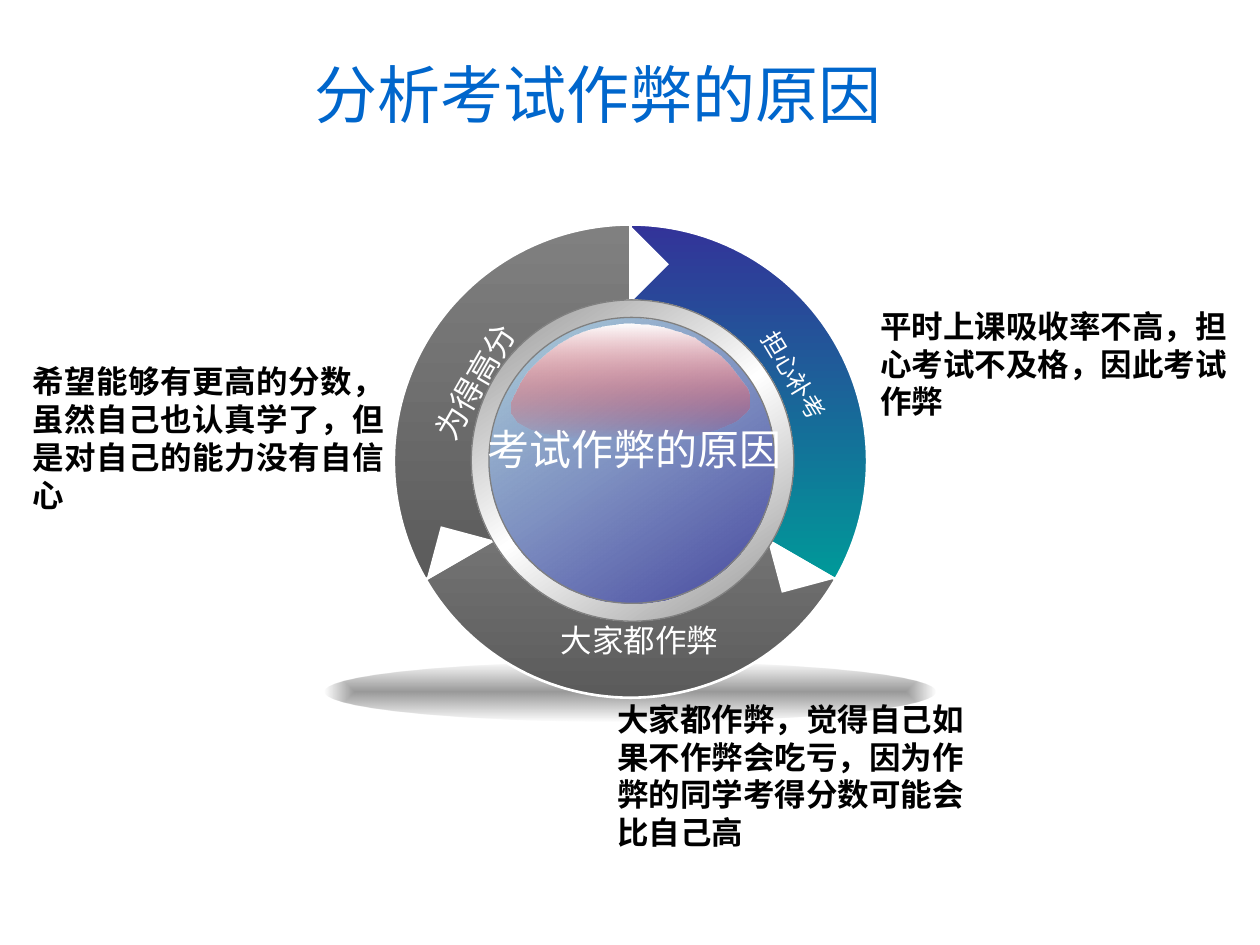
"""Build a slide that analyses why students cheat, as a three-part cycle."""
import math

from lxml import etree
from pptx import Presentation
from pptx.dml.color import RGBColor
from pptx.enum import shapes, text
from pptx.oxml import ns
from pptx.util import Pt

THEME = {
    "latin": "Arial", "cjk": "Noto Sans CJK SC",
    "title": "0066CC", "body": "000000", "light": "FFFFFF", "edge": "808080",
    "title_size": 36, "hub_size": 24, "text_size": 18, "small_size": 14,
    "active": [(0, "333399", 100, 100), (100, "009999", 100, 100)],
    "muted": [(0, "808080", 100, 100), (100, "808080", 100, 46)],
    "shadow": [(0, "000000", 40, 100), (100, "000000", 0, 100)],
    "rim": [(0, "808080", 100, 100), (50, "FFFFFF", 100, 100), (100, "808080", 100, 100)],
    "ball": [(0, "BBE0E3", 100, 100), (100, "333399", 90, 100)],
    "gloss": [(0, "FFFFFF", 100, 100), (100, "FF0000", 0, 100)],
}
TITLE = ("分析考试作弊的原因", (136.1, 31.7, 411, 87.8))
HUB = ("考试作弊的原因", (297.4, 241.9, 130.3, 46))
REASONS = [
    {"label": "担心补考", "label_box": (421.9, 207.4, 68.4, 11.5), "turn": 58.9,
     "size": "small_size", "start": -90, "fill": "active", "align": "LEFT",
     "detail": "平时上课吸收率不高，担心考试不及格，因此考试作弊", "detail_at": (496, 190.8)},
    {"label": "大家都作弊", "label_box": (320.4, 355, 90, 20.2), "turn": 0,
     "size": "text_size", "start": 30, "fill": "muted", "align": "LEFT",
     "detail": "大家都作弊，觉得自己如果不作弊会吃亏，因为作弊的同学考得分数可能会比自己高",
     "detail_at": (345.6, 426.2)},
    {"label": "为得高分", "label_box": (234.7, 207.4, 72, 20.2), "turn": 300,
     "size": "text_size", "start": 150, "fill": "muted", "align": "JUSTIFY",
     "detail": "希望能够有更高的分数，虽然自己也认真学了，但是对自己的能力没有自信心",
     "detail_at": (11.5, 233.3)},
]
CENTRE, RADIUS, SWEEP = (360.3, 263.5), 135.2, 120
NOTCH_RADIUS, NOTCH = 112.5, 31
DETAIL_SIZE = (215.3, 33.8)
SHADOW_BOX = (185.8, 378, 348.5, 34.6)
DISCS = [("rim", (269.3, 171.4, 184.3, 183.6)), ("ball", (279.4, 181.4, 163.4, 163.4))]
DISC_TURN = 10.8
GLOSS = [
    (427, 221.8), (428.4, 226), (428.4, 232.6), (426.2, 235.4), (420.5, 240.5),
    (410.4, 244.8), (398.9, 248.4), (384.5, 249.8), (374.4, 250.6), (334.1, 250.6),
    (321.8, 249.1), (311, 247.7), (302.4, 244.8), (295.9, 241.2), (292.3, 236.2),
    (292.3, 229.7), (293.8, 226.1), (297.4, 218.9), (301.7, 212.4), (307.4, 206.6),
    (313.2, 201.6), (319.7, 196.6), (327.6, 192.2), (334.8, 189.4), (343.4, 187.2),
    (352.1, 185.8), (360.7, 185), (370.8, 185.8), (379.4, 187.2), (388.8, 190.1),
    (396.7, 193), (403.9, 198), (411.1, 203), (416.9, 208.8), (421.9, 215.3)]


def points(values):
    return [Pt(value) for value in values]


def on_circle(degrees, radius):
    turn = math.radians(degrees)
    return CENTRE[0] + radius * math.cos(turn), CENTRE[1] + radius * math.sin(turn)


def paint(shape, fill, edge=None, width=0, radial=False):
    shape.shadow.inherit = False
    if edge:
        shape.line.color.rgb = RGBColor.from_string(THEME[edge])
        shape.line.width = Pt(width)
    else:
        shape.line.fill.background()
    if isinstance(THEME[fill], str):
        shape.fill.solid()
        shape.fill.fore_color.rgb = RGBColor.from_string(THEME[fill])
        return
    shape.fill.background()
    stops = "".join(
        f'<a:gs pos="{pos * 1000}"><a:srgbClr val="{colour}">'
        + (f'<a:shade val="{shade * 1000}"/>' if shade < 100 else "")
        + (f'<a:alpha val="{alpha * 1000}"/>' if alpha < 100 else "")
        + "</a:srgbClr></a:gs>"
        for pos, colour, alpha, shade in THEME[fill])
    angle = 45 if fill in ("rim", "ball") else 90
    direction = ('<a:path path="shape"><a:fillToRect l="50000" t="50000" r="50000" b="50000"/></a:path>'
                 if radial else f'<a:lin ang="{angle * 60000}" scaled="1"/>')
    gradient = etree.fromstring(
        f'<a:gradFill {ns.nsdecls("a")} rotWithShape="1">'
        f"<a:gsLst>{stops}</a:gsLst>{direction}</a:gradFill>")
    properties = shape._element.spPr
    properties.replace(properties.find(ns.qn("a:noFill")), gradient)


def outline(slide, corners):
    start, *rest = [points(corner) for corner in corners]
    builder = slide.shapes.build_freeform(*start, scale=1.0)
    builder.add_line_segments(rest, close=True)
    return builder.convert_to_shape()


def preset(slide, box, turn=0, kind=shapes.MSO_SHAPE.OVAL):
    shape = slide.shapes.add_shape(kind, *points(box))
    shape.rotation = turn
    return shape


def write(holder, words, size, colour, align="CENTER", latin="cjk", **frame_format):
    frame = holder.text_frame
    settings = {"word_wrap": False, "auto_size": text.MSO_AUTO_SIZE.NONE,
                "vertical_anchor": text.MSO_ANCHOR.TOP, "margin_left": 0,
                "margin_right": 0, "margin_top": 0, "margin_bottom": 0, **frame_format}
    for name, value in settings.items():
        setattr(frame, name, value)
    paragraph = frame.paragraphs[0]
    paragraph.alignment = getattr(text.PP_ALIGN, align)
    paragraph.line_spacing = 1.0
    run = paragraph.add_run()
    run.text = words
    run.font.name = THEME[latin]
    run.font.size = Pt(THEME[size])
    run.font.bold = latin == "latin"
    run.font.color.rgb = RGBColor.from_string(THEME[colour])
    etree.SubElement(run._r.get_or_add_rPr(), ns.qn("a:ea"), typeface=THEME["cjk"])


def label(slide, words, box, size, turn=0):
    holder = slide.shapes.add_textbox(*points(box))
    holder.rotation = turn
    write(holder, words, size, "light")


def main():
    deck = Presentation()
    deck.slide_width, deck.slide_height = Pt(720), Pt(540)
    slide = deck.slides.add_slide(deck.slide_layouts[5])

    title = slide.shapes.title
    for side, value in zip(("left", "top", "width", "height"), points(TITLE[1])):
        setattr(title, side, value)
    write(title, TITLE[0], "title_size", "title")

    paint(preset(slide, SHADOW_BOX), "shadow", radial=True)
    for reason in REASONS:
        arc = [on_circle(reason["start"] + step, RADIUS) for step in range(0, SWEEP + 1, 2)]
        paint(outline(slide, [CENTRE, *arc]), reason["fill"], "light", 1.5)
    for reason in REASONS:
        x, y = on_circle(reason["start"], NOTCH_RADIUS)
        box = (x - NOTCH / 2, y - NOTCH / 2, NOTCH, NOTCH)
        paint(preset(slide, box, reason["start"] - 45, shapes.MSO_SHAPE.RIGHT_TRIANGLE), "light")
    for fill, box in DISCS:
        paint(preset(slide, box, DISC_TURN), fill, "edge", 0.75)
    for reason in REASONS:
        label(slide, reason["label"], reason["label_box"], reason["size"], reason["turn"])
    paint(outline(slide, GLOSS), "gloss")
    label(slide, *HUB, "hub_size")
    for reason in REASONS:
        holder = slide.shapes.add_textbox(*points(reason["detail_at"] + DETAIL_SIZE))
        write(holder, reason["detail"], "text_size", "body", reason["align"], "latin",
              word_wrap=True, vertical_anchor=text.MSO_ANCHOR.MIDDLE,
              margin_left=Pt(7.2), margin_right=Pt(7.2))
    deck.save("out.pptx")


if __name__ == "__main__":
    main()
